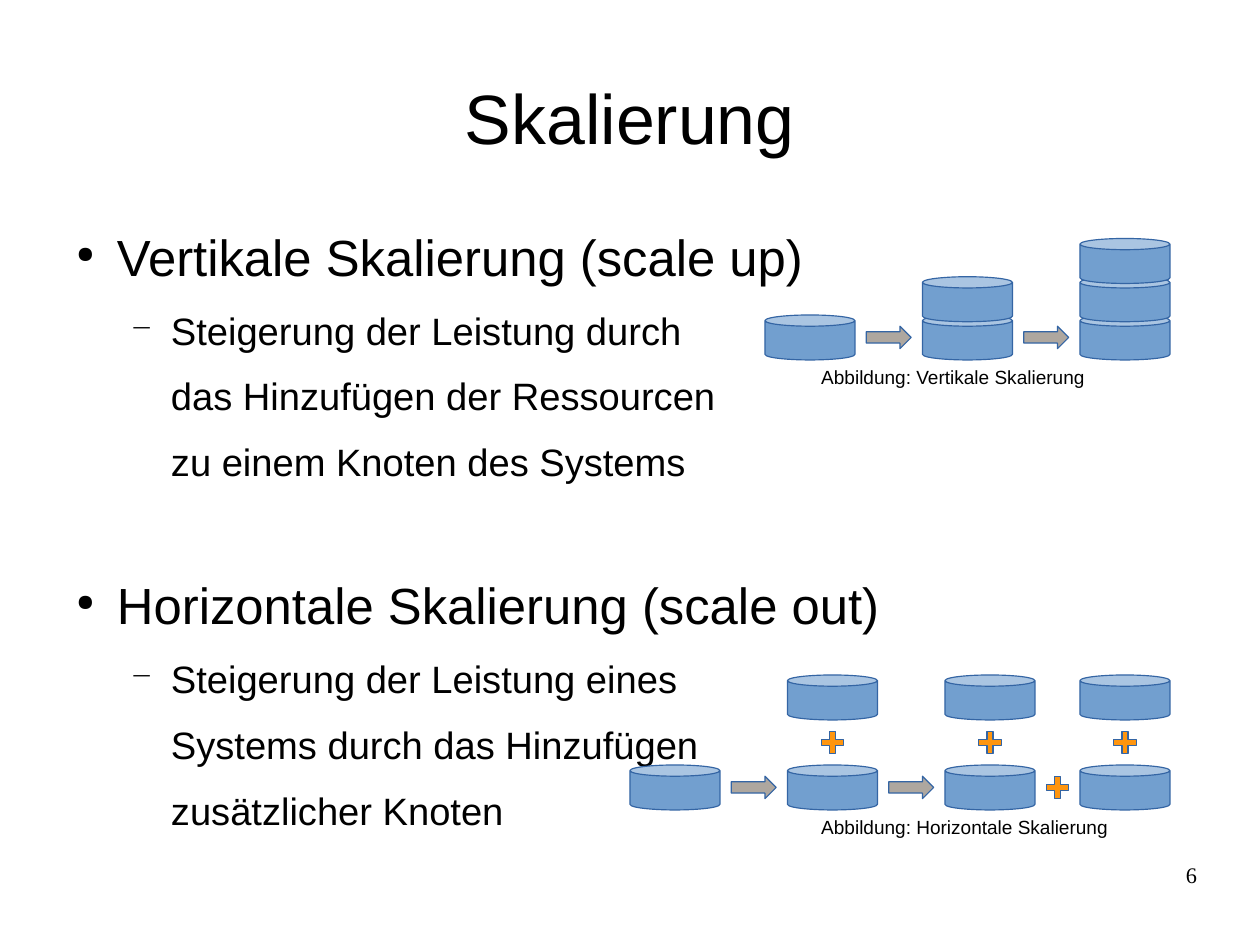
"""Builds the slide on vertical and horizontal scaling."""
from lxml.etree import SubElement
from pptx import Presentation
from pptx.dml.color import RGBColor
from pptx.enum.shapes import MSO_SHAPE
from pptx.enum.text import MSO_ANCHOR, PP_ALIGN
from pptx.oxml.ns import qn
from pptx.util import Cm, Pt

TITLE = "Skalierung"
TOPICS = [
    ("Vertikale Skalierung (scale up)",
     ["Steigerung der Leistung durch",
      "das Hinzufügen der Ressourcen",
      "zu einem Knoten des Systems"]),
    ("Horizontale Skalierung (scale out)",
     ["Steigerung der Leistung eines",
      "Systems durch das Hinzufügen",
      "zusätzlicher Knoten"]),
]
FIGURES = [
    {"columns": [(17, 1, "arrow"), (20.5, 2, "arrow"), (24, 3, None)],
     "base": 7, "step": 0.85, "joint": None,
     "caption": "Abbildung: Vertikale Skalierung", "caption_box": (18, 8, 6.38, 0.74)},
    {"columns": [(14, 1, "arrow"), (17.5, 2, "arrow"), (21, 2, "plus"), (24, 2, None)],
     "base": 17, "step": 2, "joint": "plus",
     "caption": "Abbildung: Horizontale Skalierung", "caption_box": (18, 18, 6.91, 0.74)},
]
PAGE = "6"

COLORS = {"text": "000000", "outline": "3465A4", "node": "729FCF",
          "arrow": "AEA79F", "plus": "FF950E"}
PARTS = {
    "node": (MSO_SHAPE.CAN, 2, 1, [0.25]),
    "arrow": (MSO_SHAPE.RIGHT_ARROW, 1, 0.5, [0.5, 0.5]),
    "plus": (MSO_SHAPE.CROSS, 0.5, 0.5, [0.368]),
}
NODE_WIDTH, NODE_HEIGHT = PARTS["node"][1:3]
GAP = 0.25
LINE_SPACING = 1.05
TOPIC_GAP = 54.5
DETAIL_GAP = 11.3


def color(name):
    return RGBColor.from_string(COLORS[name])


def style(paragraph, size, font="Arial"):
    for run in paragraph.runs:
        run.font.size = Pt(size)
        run.font.name = font
        run.font.color.rgb = color("text")


def text_frame(slide, box, inset=(0, 0), wrap=True):
    frame = slide.shapes.add_textbox(*map(Cm, box)).text_frame
    frame.word_wrap = wrap
    frame.margin_left = frame.margin_right = Cm(inset[0])
    frame.margin_top = frame.margin_bottom = Cm(inset[1])
    return frame


def indent(paragraph, left, bullet=None, percent=100):
    properties = paragraph._p.get_or_add_pPr()
    properties.set("marL", str(Cm(left)))
    properties.set("indent", str(Cm(-0.9) if bullet else 0))
    if bullet:
        bullet_color = SubElement(properties, qn("a:buClr"))
        SubElement(bullet_color, qn("a:srgbClr"), val=COLORS["text"])
        SubElement(properties, qn("a:buSzPct"), val=str(percent * 1000))
        SubElement(properties, qn("a:buChar"), char=bullet)
    else:
        SubElement(properties, qn("a:buNone"))


def add_topics(slide):
    frame = text_frame(slide, (1.4, 4.95, 25.2, 12.16))
    lines = []
    for heading, details in TOPICS:
        lines.append((heading, 0, "●"))
        lines += [(detail, 1, "−" if i == 0 else None) for i, detail in enumerate(details)]
    for i, (line, level, bullet) in enumerate(lines):
        paragraph = frame.add_paragraph() if i else frame.paragraphs[0]
        paragraph.text = line
        paragraph.level = level
        indent(paragraph, 1.2 * (level + 1), bullet, 75 if level else 45)
        paragraph.line_spacing = LINE_SPACING
        if i:
            paragraph.space_before = Pt(DETAIL_GAP if level else TOPIC_GAP)
        style(paragraph, 24 if level else 32)


def add_part(group, kind, left, middle):
    preset, width, height, adjustments = PARTS[kind]
    part = group.shapes.add_shape(
        preset, Cm(left), Cm(middle - height / 2), Cm(width), Cm(height))
    for i, value in enumerate(adjustments):
        part.adjustments[i] = value
    part.shadow.inherit = False
    part.fill.solid()
    part.fill.fore_color.rgb = color(kind)
    part.line.color.rgb = color("outline")
    part.line.width = Pt(0)


def add_figure(slide, figure):
    group = slide.shapes.add_group_shape()
    middle = figure["base"] + NODE_HEIGHT / 2
    for left, count, link in figure["columns"]:
        for i in range(count):
            add_part(group, "node", left, middle - i * figure["step"])
            if i and figure["joint"]:
                joint_left = left + (NODE_WIDTH - PARTS[figure["joint"]][1]) / 2
                add_part(group, figure["joint"], joint_left,
                         middle - (i - 0.5) * figure["step"])
        if link:
            add_part(group, link, left + NODE_WIDTH + GAP, middle)
    caption = text_frame(slide, figure["caption_box"], (0.25, 0.13), wrap=False)
    caption.text = figure["caption"]
    style(caption.paragraphs[0], 12)


def main():
    deck = Presentation()
    deck.slide_width, deck.slide_height = Cm(28), Cm(21)
    slide = deck.slides.add_slide(deck.slide_layouts[5])

    title = slide.shapes.title
    title.left, title.top, title.width, title.height = map(Cm, (1.4, 0.84, 25.2, 3.5))
    heading = title.text_frame
    heading.text = TITLE
    heading.vertical_anchor = MSO_ANCHOR.MIDDLE
    heading.margin_left = heading.margin_right = 0
    heading.margin_top = heading.margin_bottom = 0
    heading.paragraphs[0].alignment = PP_ALIGN.CENTER
    style(heading.paragraphs[0], 44)

    add_topics(slide)
    for figure in FIGURES:
        add_figure(slide, figure)

    page = text_frame(slide, (20.07, 19.13, 6.53, 1.45))
    page.text = PAGE
    page.paragraphs[0].alignment = PP_ALIGN.RIGHT
    style(page.paragraphs[0], 14, "Times New Roman")

    deck.save("out.pptx")


if __name__ == "__main__":
    main()
